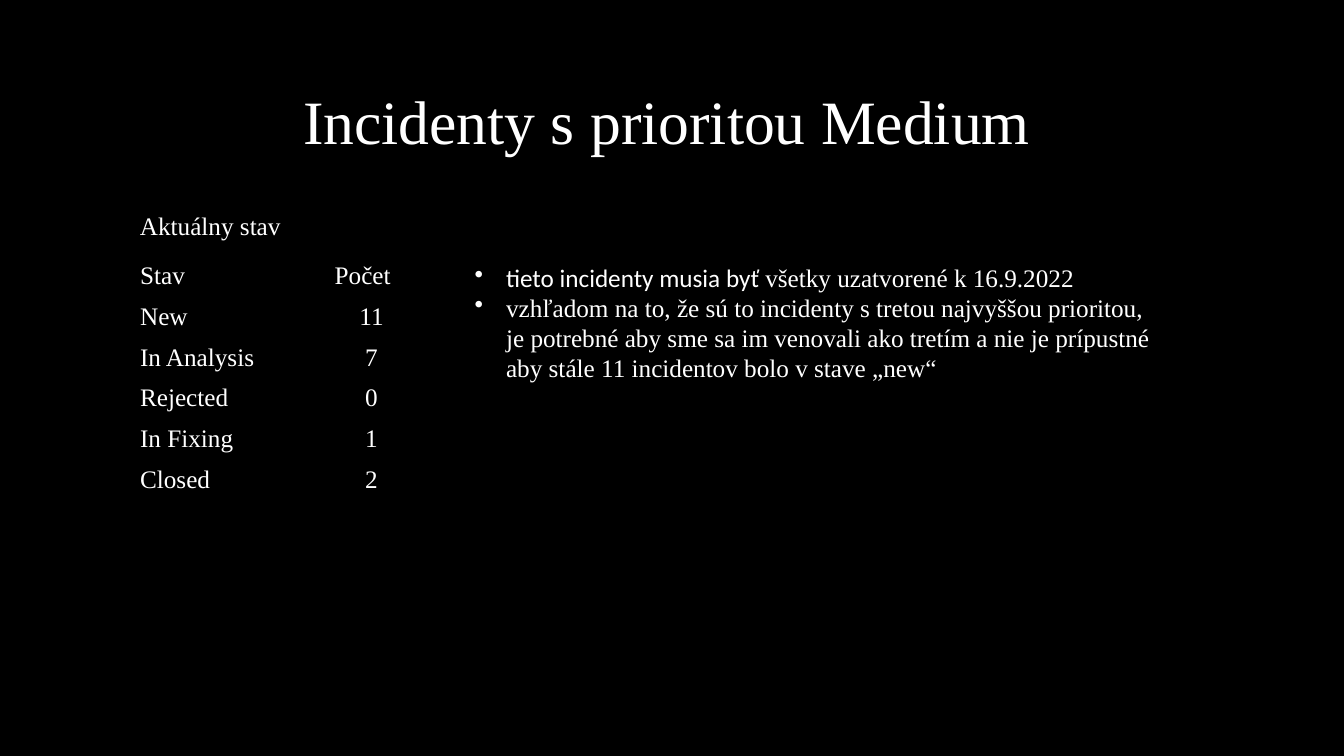
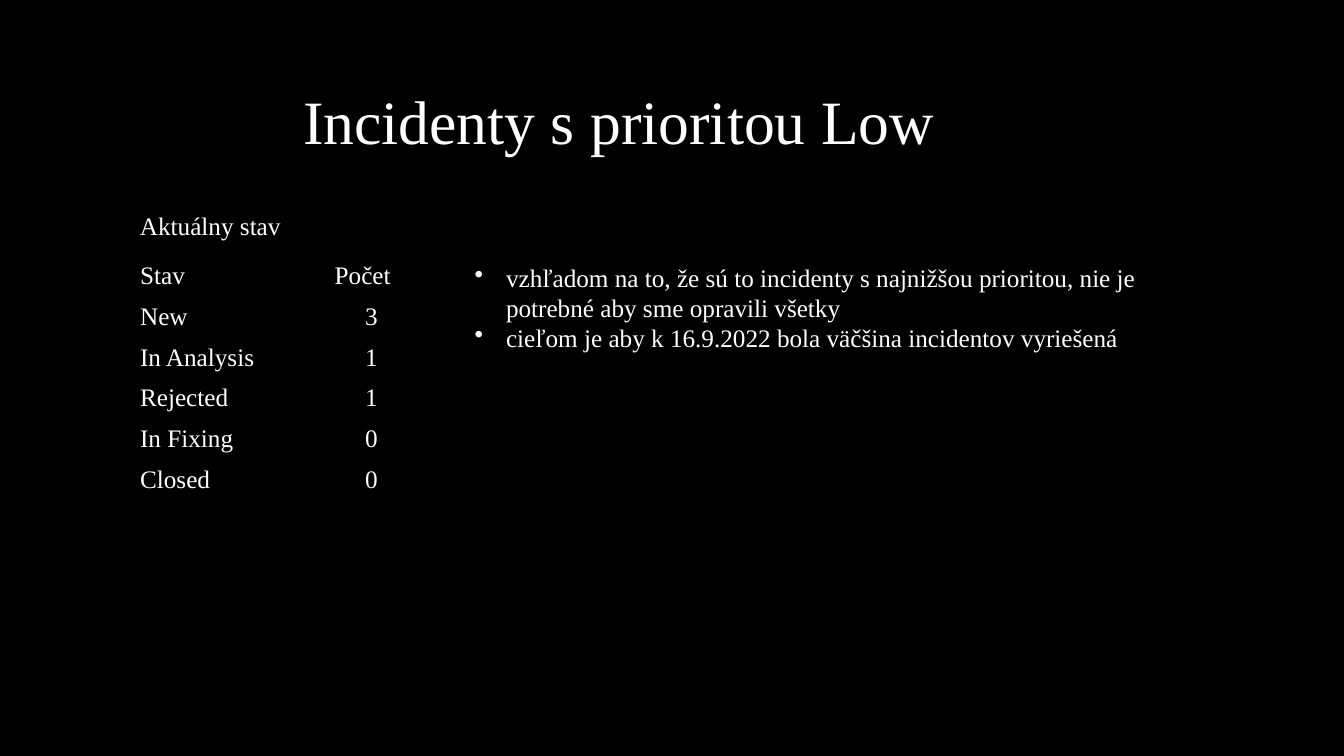
from collections import namedtuple
from dataclasses import dataclass

from lxml.etree import SubElement
from pptx import Presentation
from pptx.dml.color import RGBColor
from pptx.enum.text import MSO_ANCHOR as Anchor, MSO_AUTO_SIZE as AutoSize, PP_ALIGN as Align
from pptx.oxml.ns import qn
from pptx.util import Pt

Box = namedtuple("Box", "left top width height")
Incidents = namedtuple("Incidents", "priority counts notes")


@dataclass(frozen=True)
class Theme:
    """Colours, fonts and type sizes of the deck."""

    background: RGBColor = RGBColor(0, 0, 0)
    ink: RGBColor = RGBColor(255, 255, 255)
    font: str = "Times New Roman"
    accent_font: str = "Calibri"
    title_size: int = 44
    body_size: int = 18
    tight: float = 0.9


THEME = Theme()
PLAIN_TABLE = "{2D5ABB26-0587-4C30-8999-92F81FD0307C}"
STATES = ("New", "In Analysis", "Rejected", "In Fixing", "Closed")

TITLE = Box(209.5, 36.7, 540, 104.4)
STATUS = Box(92.9, 149, 206, 209.6)
NOTES = Box(331.9, 183.6, 499, 94.3)

SLIDES = (
    Incidents("Medium", (11, 7, 0, 1, 2), (
        (("tieto incidenty musia byť ", THEME.accent_font),
         ("všetky uzatvorené k 16.9.2022", None)),
        (("vzhľadom na to, že sú to incidenty s tretou najvyššou prioritou, "
          "je potrebné aby sme sa im venovali ako tretím a nie je prípustné "
          "aby stále 11 incidentov bolo v stave „new“", None),),
    )),
    Incidents("Low", (3, 1, 1, 0, 0), (
        (("vzhľadom na to, že sú to incidenty s najnižšou prioritou, nie je "
          "potrebné aby sme opravili všetky", None),),
        (("cieľom je aby k 16.9.2022 bola väčšina incidentov vyriešená", None),),
    )),
)


def style(para, size=THEME.body_size):
    """Give a paragraph the deck's type."""
    para.font.name = THEME.font
    para.font.size = Pt(size)
    para.font.color.rgb = THEME.ink


def add_frame(page, box):
    """Add a wrapping text box and return its text frame."""
    frame = page.shapes.add_textbox(*map(Pt, box)).text_frame
    frame.word_wrap = True
    return frame


def add_line(page, box, text, size):
    """Add one tightly set line of text and return its frame."""
    frame = add_frame(page, box)
    para = frame.paragraphs[0]
    para.text = text
    para.line_spacing = THEME.tight
    style(para, size)
    return frame


def add_title(page, box, text):
    """Place the slide title, centred in height."""
    frame = add_line(page, box, text, THEME.title_size)
    frame.vertical_anchor = Anchor.MIDDLE


def add_status(page, box, counts):
    """Place the status label and the table of counts below it."""
    label_height, offset, count_width = 26.6, 34.6, 67
    label = Box(box.left, box.top, 150.5, label_height)
    add_line(page, label, "Aktuálny stav", THEME.body_size)

    rows = (("Stav", "Počet"), *zip(STATES, map(str, counts)))
    area = Box(box.left, box.top + offset, box.width, box.height - offset)
    shape = page.shapes.add_table(len(rows), 2, *map(Pt, area))
    for style_id in shape.element.iter(qn("a:tableStyleId")):
        style_id.text = PLAIN_TABLE
    table = shape.table
    table.first_row = table.horz_banding = False
    table.columns[0].width = Pt(box.width - count_width)
    table.columns[1].width = Pt(count_width)
    for row, texts in enumerate(rows):
        for column, text in enumerate(texts):
            cell = table.cell(row, column)
            cell.fill.background()
            para = cell.text_frame.paragraphs[0]
            para.text = text
            style(para)
            if row and column:
                para.alignment = Align.CENTER


def add_bullet(para, indent=22.5):
    """Give a paragraph a hanging bullet."""
    properties = para._p.get_or_add_pPr()
    properties.set("marL", str(Pt(indent)))
    properties.set("indent", str(-Pt(indent)))
    SubElement(properties, qn("a:buChar"), char="•")


def add_notes(page, box, notes):
    """Place the bulleted notes."""
    frame = add_frame(page, box)
    frame.auto_size = AutoSize.SHAPE_TO_FIT_TEXT
    for index, spans in enumerate(notes):
        para = frame.add_paragraph() if index else frame.paragraphs[0]
        add_bullet(para)
        style(para)
        for text, font in spans:
            span = para.add_run()
            span.text = text
            if font:
                span.font.name = font


def add_incident_slide(deck, incidents):
    """Build one slide on incidents of a priority."""
    page = deck.slides.add_slide(deck.slide_layouts[6])
    add_title(page, TITLE, f"Incidenty s prioritou {incidents.priority}")
    add_status(page, STATUS, incidents.counts)
    add_notes(page, NOTES, incidents.notes)


def main():
    """Build and save the deck."""
    deck = Presentation()
    deck.slide_width, deck.slide_height = Pt(960), Pt(540)
    fill = deck.slide_master.background.fill
    fill.solid()
    fill.fore_color.rgb = THEME.background
    for incidents in SLIDES:
        add_incident_slide(deck, incidents)
    deck.save("out.pptx")


if __name__ == "__main__":
    main()
